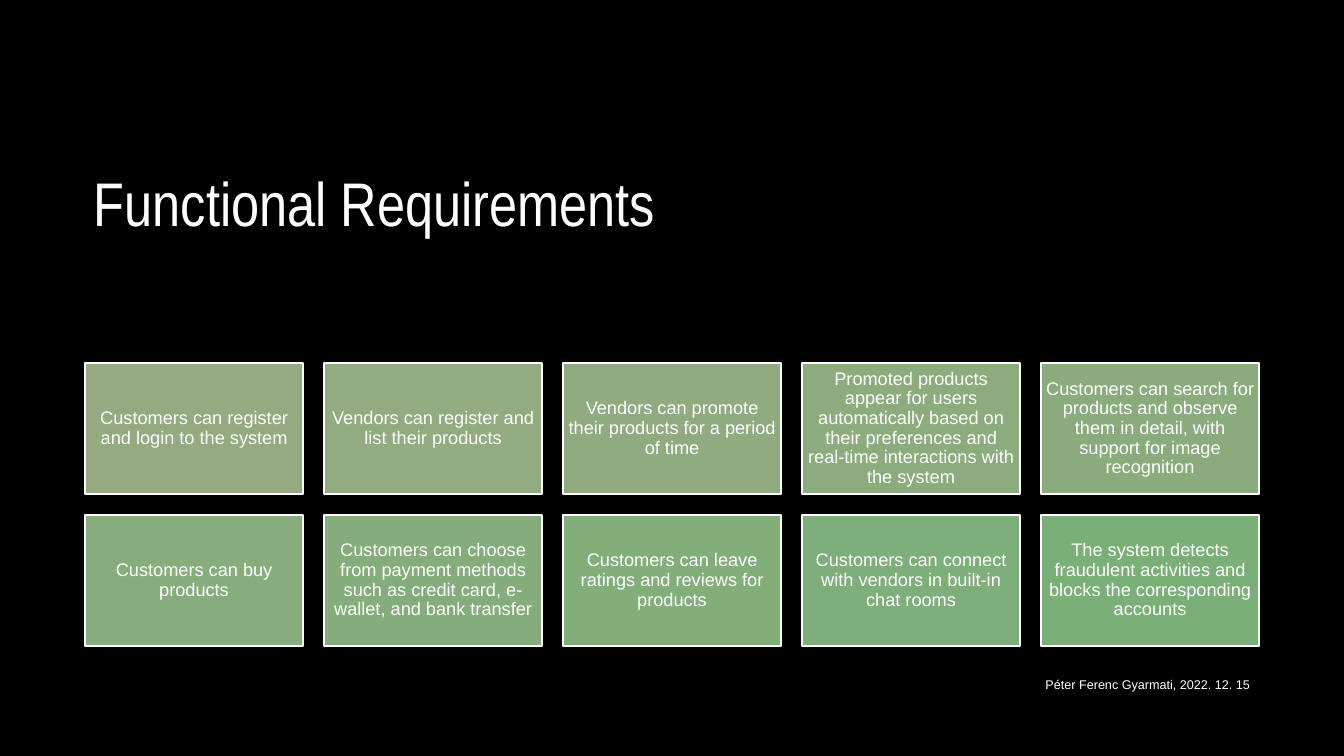
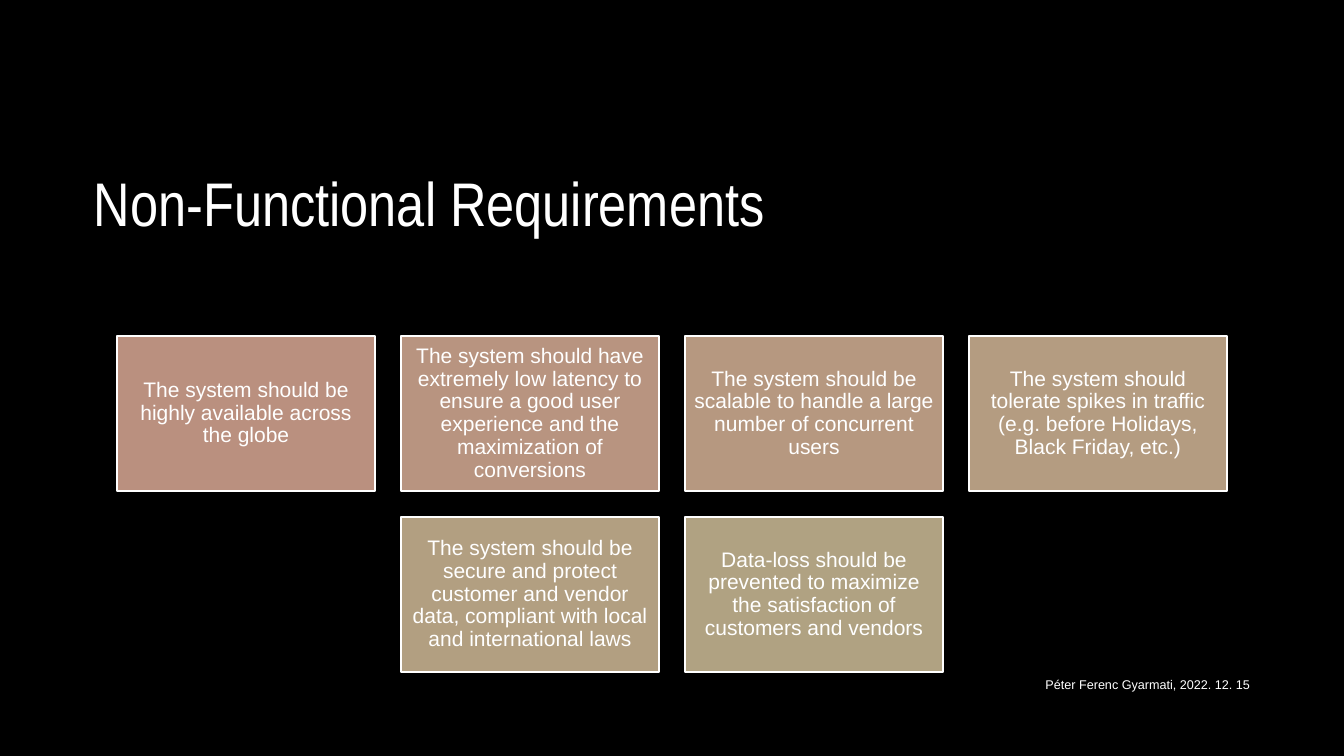
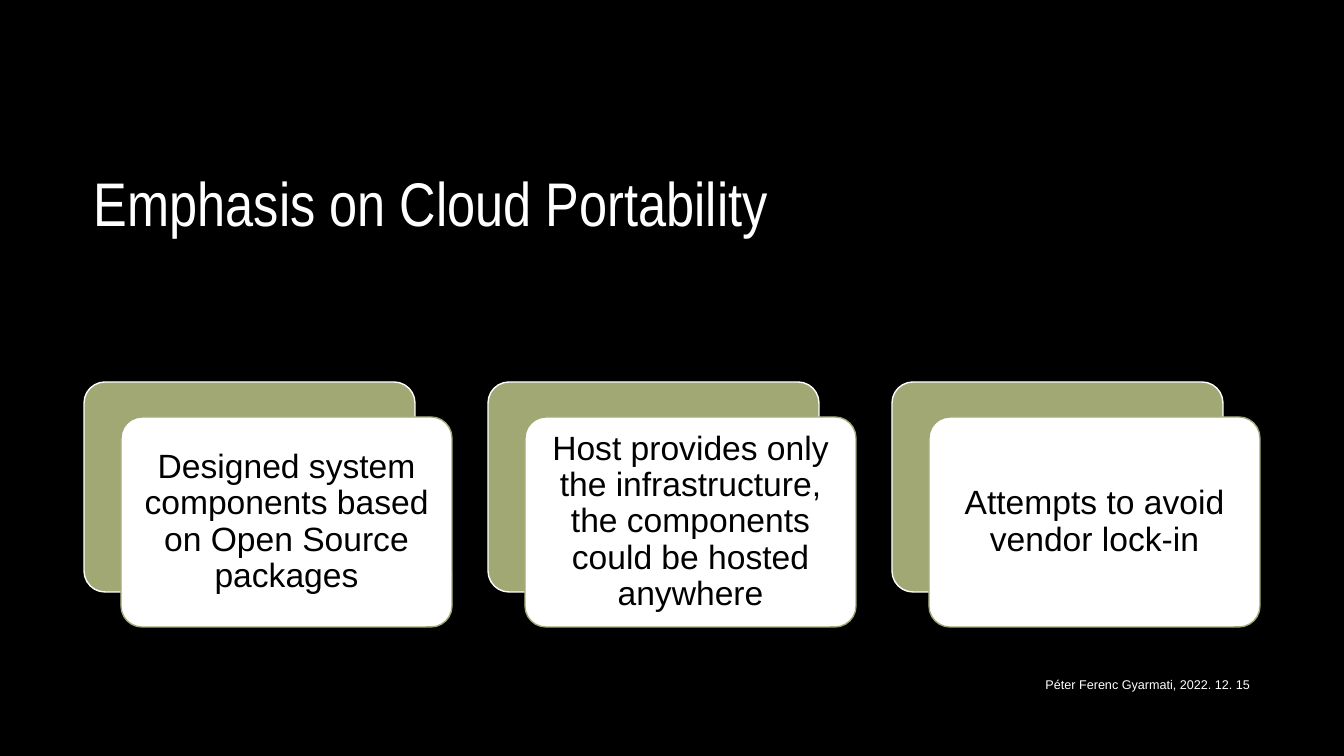
from pptx import Presentation
from pptx import util as u
from pptx.dml import color
from pptx.enum import shapes, text

SCALE = 12192000 / 1344
WIDE, HIGH = 1344, 756
BLACK, WHITE, OLIVE = "000000", "FFFFFF", "A2A873"
LEFT, MID = text.PP_ALIGN.LEFT, text.PP_ALIGN.CENTER
RIGHT = text.PP_ALIGN.RIGHT
RECT = shapes.MSO_SHAPE.RECTANGLE
ROUND = shapes.MSO_SHAPE.ROUNDED_RECTANGLE

NEEDS = [
    [
        ("94AA81", "Customers can register and login to the system"),
        ("92AB80", "Vendors can register and list their products"),
        ("8FAB7F", "Vendors can promote their products for a period of time"),
        ("8DAC7E", "Promoted products appear for users automatically based on "
                   "their preferences and real-time interactions with the system"),
        ("8AAC7D", "Customers can search for products and observe them in detail, "
                   "with support for image recognition"),
    ],
    [
        ("88AD7C", "Customers can buy products"),
        ("85AD7B", "Customers can choose from payment methods such as credit card, "
                   "e-wallet, and bank transfer"),
        ("82AE7A", "Customers can leave ratings and reviews for products"),
        ("7EAE79", "Customers can connect with vendors in built-in chat rooms"),
        ("7BAF78", "The system detects fraudulent activities and blocks the "
                   "corresponding accounts"),
    ],
]

TRAITS = [
    [
        ("BA907F", "The system should be highly available across the globe"),
        ("B89480", "The system should have extremely low latency to ensure a good "
                   "user experience and the maximization of conversions"),
        ("B69880", "The system should be scalable to handle a large number of "
                   "concurrent users"),
        ("B49C81", "The system should tolerate spikes in traffic (e.g. before "
                   "Holidays, Black Friday, etc.)"),
    ],
    [
        ("B29F81", "The system should be secure and protect customer and vendor "
                   "data, compliant with local and international laws"),
        ("B0A282", "Data-loss should be prevented to maximize the satisfaction of "
                   "customers and vendors"),
    ],
]

POINTS = [
    "Designed system components based on Open Source packages",
    "Host provides only the infrastructure, the components could be hosted anywhere",
    "Attempts to avoid vendor lock-in",
]


def px(n):
    return u.Emu(round(n * SCALE))


def rgb(code):
    return color.RGBColor.from_string(code)


def write(shape, words, size=13, font="Arial", ink=WHITE, align=MID,
          anchor=text.MSO_ANCHOR.MIDDLE, pad=(5, 5), lead=0.9):
    frame = shape.text_frame
    frame.word_wrap = True
    frame.vertical_anchor = anchor
    frame.margin_left = frame.margin_right = px(pad[0])
    frame.margin_top = frame.margin_bottom = px(pad[1])
    para = frame.paragraphs[0]
    para.alignment = align
    para.line_spacing = lead
    run = para.add_run()
    run.text = words
    run.font.name = font
    run.font.size = u.Pt(size)
    run.font.color.rgb = rgb(ink)


def label(slide, box, words, **style):
    shape = slide.shapes.add_textbox(*map(px, box))
    write(shape, words, anchor=text.MSO_ANCHOR.TOP, pad=(10, 5), **style)


def block(slide, kind, box, fill, line):
    shape = slide.shapes.add_shape(kind, *map(px, box))
    shape.shadow.inherit = False
    shape.fill.solid()
    shape.fill.fore_color.rgb = rgb(fill)
    shape.line.color.rgb = rgb(line)
    shape.line.width = u.Pt(1)
    if kind == ROUND:
        shape.adjustments[0] = 0.1
    return shape


def page(deck, title):
    slide = deck.slides.add_slide(deck.slide_layouts[6])
    label(slide, (84, 168, 1008, 139), title, size=44, font="Arial Narrow",
          align=LEFT)
    label(slide, (756, 672, 504, 40), "Péter Ferenc Gyarmati, 2022. 12. 15",
          size=9, align=RIGHT, lead=1)
    return slide


def tiles(slide, top, rows, wide, high, gap, size, pad):
    for i, row in enumerate(rows):
        left = (WIDE - len(row) * (wide + gap) + gap) / 2
        for j, (fill, words) in enumerate(row):
            box = (left + j * (wide + gap), top + i * (high + gap), wide, high)
            tile = block(slide, RECT, box, fill, WHITE)
            write(tile, words, size=size, pad=(pad, pad))


def cards(slide, left, top, points, wide=331, high=210, step=404):
    for i, words in enumerate(points):
        x = left + i * step
        block(slide, ROUND, (x, top, wide, high), OLIVE, WHITE)
        card = block(slide, ROUND, (x + 37, top + 35, wide, high), WHITE, OLIVE)
        write(card, words, size=24, ink=BLACK, pad=(10, 10))


def main():
    deck = Presentation()
    deck.slide_width, deck.slide_height = px(WIDE), px(HIGH)
    back = deck.slide_master.background.fill
    back.solid()
    back.fore_color.rgb = rgb(BLACK)
    tiles(page(deck, "Functional Requirements"), 363, NEEDS,
          wide=218, high=131, gap=21, size=13, pad=5)
    tiles(page(deck, "Non-Functional Requirements"), 336, TRAITS,
          wide=258, high=155, gap=26, size=15, pad=6)
    cards(page(deck, "Emphasis on Cloud Portability"), 84, 382, POINTS)
    deck.save("out.pptx")


if __name__ == "__main__":
    main()
